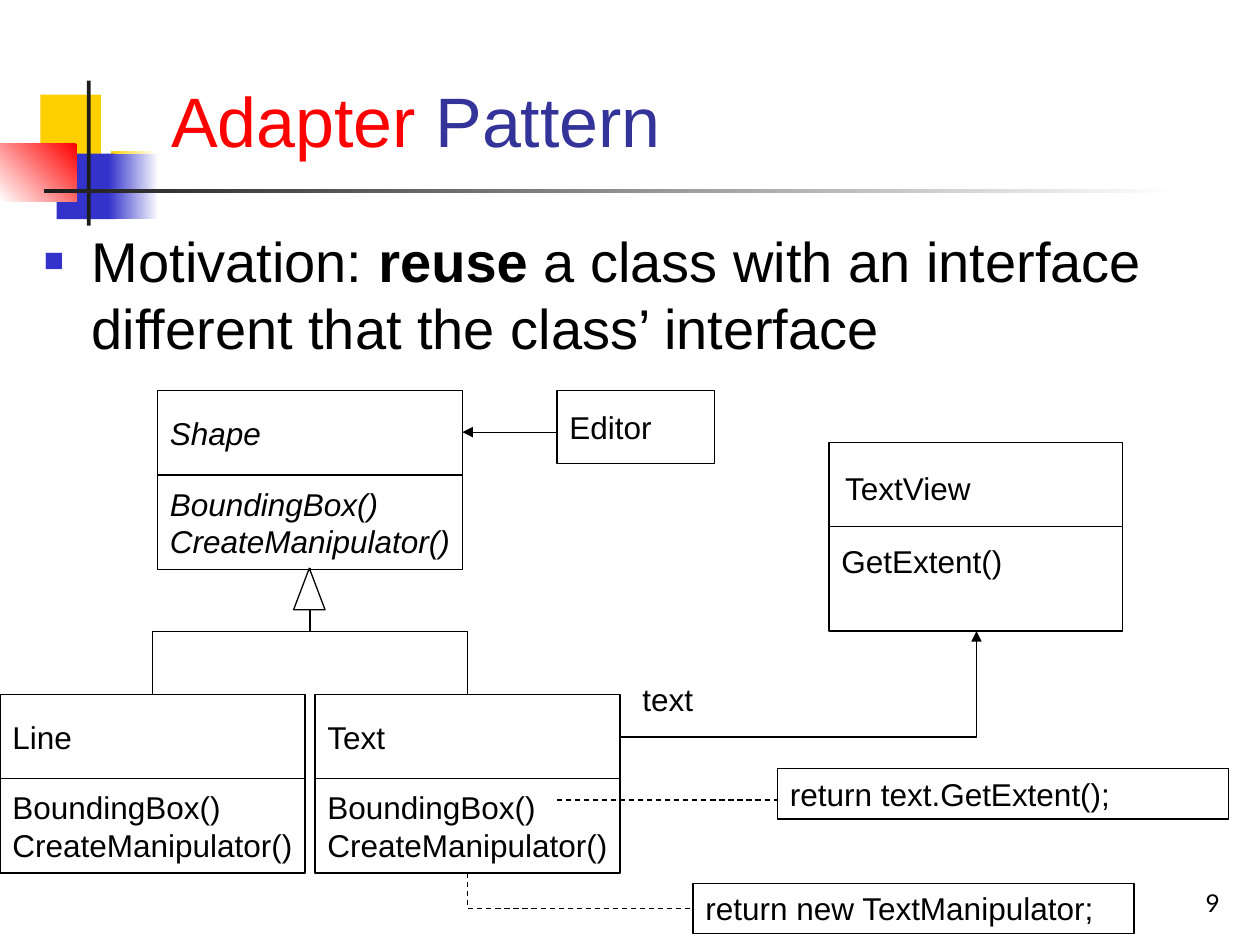
from dataclasses import dataclass

from lxml.etree import SubElement
from pptx import Presentation
from pptx.dml.color import RGBColor
from pptx.enum.dml import MSO_LINE
from pptx.enum.shapes import MSO_CONNECTOR, MSO_SHAPE
from pptx.enum.text import MSO_ANCHOR, PP_ALIGN
from pptx.oxml.ns import qn
from pptx.util import Inches, Pt


@dataclass(frozen=True)
class Theme:
    black: str = "000000"
    white: str = "FFFFFF"
    yellow: str = "FFCF01"
    blue: str = "3333CC"
    red: str = "FF0000"
    charcoal: str = "1C1C1C"
    title_blue: str = "333399"
    font: str = "Arial"
    number_font: str = "Lato"
    title_size: int = 40
    body_size: int = 32
    diagram_size: int = 18
    number_size: int = 14
    line_width: float = 0.75


THEME = Theme()
NAME_HEIGHT = 0.67


def color(value):
    return RGBColor.from_string(value)


def write(shape, runs, wrap=True, anchor=MSO_ANCHOR.TOP, align=PP_ALIGN.LEFT, top_inset=0.05):
    """Fill a shape with one paragraph of (text, font values) runs."""
    frame = shape.text_frame
    margins = {"margin_left": 0.1, "margin_right": 0.1,
               "margin_top": top_inset, "margin_bottom": 0.05}
    for name, value in margins.items():
        setattr(frame, name, Inches(value))
    frame.word_wrap = wrap
    frame.vertical_anchor = anchor
    paragraph = frame.paragraphs[0]
    paragraph.alignment = align
    for index, (text, values) in enumerate(runs):
        for part_index, part in enumerate(text.split("\n")):
            if part_index:
                paragraph.add_line_break()
            run = paragraph.add_run()
            run.text = part
            format_values = {"name": THEME.font, "size": THEME.diagram_size,
                             "color": THEME.black, **values}
            run.font.color.rgb = color(format_values.pop("color"))
            format_values["size"] = Pt(format_values["size"])
            for name, value in format_values.items():
                setattr(run.font, name, value)
    return paragraph


def add_text(slide, box, runs, **layout):
    return write(slide.shapes.add_textbox(*map(Inches, box)), runs, **layout)


def add_outlined(slide, box, kind=MSO_SHAPE.RECTANGLE, fill=THEME.white):
    shape = slide.shapes.add_shape(kind, *map(Inches, box))
    shape.shadow.inherit = False
    if fill:
        shape.fill.solid()
        shape.fill.fore_color.rgb = color(fill)
    else:
        shape.fill.background()
    shape.line.color.rgb = color(THEME.black)
    shape.line.width = Pt(THEME.line_width)
    return shape


def add_connection(slide, start, end, preset="line", vertical_first=False, arrow=False, dashed=False):
    """Join two points; a vertical-first bend is a sideways one turned by 90 degrees."""
    points = [start, end]
    if vertical_first:
        middle_x, middle_y = (start[0] + end[0]) / 2, (start[1] + end[1]) / 2
        points = [(middle_x + y - middle_y, middle_y - x + middle_x) for x, y in points]
    kind = MSO_CONNECTOR.STRAIGHT if preset == "line" else MSO_CONNECTOR.ELBOW
    connector = slide.shapes.add_connector(
        kind, *[Inches(value) for point in points for value in point])
    connector.line.color.rgb = color(THEME.black)
    connector.line.width = Pt(THEME.line_width)
    if dashed:
        connector.line.dash_style = MSO_LINE.DASH
    properties = connector._element.spPr
    properties.find(qn("a:prstGeom")).set("prst", preset)
    if vertical_first:
        properties.find(qn("a:xfrm")).set("rot", str(90 * 60000))
    if arrow:
        SubElement(properties.find(qn("a:ln")), qn("a:tailEnd"), type="triangle")
    SubElement(properties, qn("a:effectLst"))


def add_ornament(slide, left, top):
    """Coloured blocks and crossing bars, placed from their top left corner."""
    blocks = [
        ((0.32, 0.11, 0.48, 0.52), [THEME.yellow], 0),
        ((0.88, 0.56, 0.36, 0.52), [THEME.white, THEME.yellow], 180),
        ((0.45, 0.58, 0.46, 0.52), [THEME.blue], 0),
        ((0.86, 0.58, 0.4, 0.52), [THEME.white, THEME.blue], 180),
        ((0, 0.5, 0.61, 0.46), [THEME.red, THEME.white], 225),
        ((0.69, 0, 0.03, 1.15), [THEME.charcoal], 0),
        ((0.35, 0.86, 9, 0.03), [THEME.white, THEME.charcoal], 180),
    ]
    for (x, y, width, height), colors, angle in blocks:
        block = add_outlined(slide, (left + x, top + y, width, height), fill=colors[0])
        block.line.fill.background()
        if len(colors) > 1:
            block.fill.gradient()
            block.fill.gradient_angle = angle
            for stop, value in zip(block.fill.gradient_stops, colors):
                stop.color.rgb = color(value)


def add_title(slide, box):
    add_text(slide, box, [
        ("Adapter", {"size": THEME.title_size, "color": THEME.red}),
        (" Pattern", {"size": THEME.title_size, "color": THEME.title_blue}),
    ], anchor=MSO_ANCHOR.BOTTOM)


def add_motivation(slide, box):
    size = {"size": THEME.body_size}
    paragraph = add_text(slide, box, [
        ("Motivation: ", size),
        ("reuse", {**size, "bold": True}),
        (" a class with an interface different that the class’ interface", size),
    ])
    paragraph.space_before = Pt(8)
    properties = paragraph._p.get_or_add_pPr()
    properties.set("marL", str(Inches(0.38)))
    properties.set("indent", str(-Inches(0.38)))
    bullet_color = SubElement(properties, qn("a:buClr"))
    SubElement(bullet_color, qn("a:srgbClr"), val=THEME.blue)
    SubElement(properties, qn("a:buSzPct"), val="60000")
    SubElement(properties, qn("a:buFont"), typeface=THEME.font)
    SubElement(properties, qn("a:buChar"), char="■")


def add_class(slide, left, top, name, italic=False):
    """Class box with a name part above its two methods."""
    parts = [(top, NAME_HEIGHT, name),
             (top + NAME_HEIGHT, 0.75, "BoundingBox()\nCreateManipulator()")]
    for part_top, height, text in parts:
        shape = add_outlined(slide, (left, part_top, 2.42, height))
        write(shape, [(text, {"italic": italic})], wrap=False, anchor=MSO_ANCHOR.MIDDLE)


def add_text_view(slide, left, top):
    add_outlined(slide, (left, top, 2.33, NAME_HEIGHT))
    methods = add_outlined(slide, (left, top + NAME_HEIGHT, 2.33, 0.83))
    write(methods, [("GetExtent()", {})], wrap=False, top_inset=0.12)
    add_text(slide, (left + 0.03, top + 0.16, 1.23, 0.4), [("TextView", {})], wrap=False)


def add_diagram(slide, left, top):
    """Class diagram, placed from its top left corner."""
    def at(x, y):
        return left + x, top + y

    add_class(slide, *at(1.25, 0), "Shape", italic=True)
    add_class(slide, *at(2.5, 2.41), "Text")
    add_class(slide, *at(0, 2.41), "Line")
    add_text_view(slide, *at(6.58, 0.41))
    editor = add_outlined(slide, (*at(4.42, 0), 1.25, 0.58))
    write(editor, [("Editor", {})], wrap=False, anchor=MSO_ANCHOR.MIDDLE)

    for child_x in (1.21, 3.71):
        add_connection(slide, at(2.46, 1.41), at(child_x, 2.41), "bentConnector3", vertical_first=True)
    add_outlined(slide, (*at(2.33, 1.41), 0.25, 0.33), MSO_SHAPE.ISOSCELES_TRIANGLE)
    add_connection(slide, at(4.42, 0.33), at(3.67, 0.33), arrow=True)
    add_connection(slide, at(4.92, 2.75), at(7.75, 1.91), "bentConnector2", arrow=True)

    add_text(slide, (*at(5, 2.25), 0.92, 0.4), [("text", {})])
    notes = [((6.17, 3), 3.58, "return text.GetExtent();"),
             ((5.5, 3.91), 3.5, "return new TextManipulator;")]
    for position, width, text in notes:
        write(add_outlined(slide, (*at(*position), width, 0.4), fill=None), [(text, {})])
    add_connection(slide, at(4.42, 3.25), at(6.17, 3.25), dashed=True)
    add_connection(slide, at(3.71, 3.83), at(5.5, 4.11), "bentConnector2", vertical_first=True, dashed=True)


def main():
    presentation = Presentation()
    presentation.slide_width, presentation.slide_height = Inches(10), Inches(7.5)
    slide = presentation.slides.add_slide(presentation.slide_layouts[6])
    add_ornament(slide, 0, 0.64)
    add_title(slide, (1.26, 0.23, 8.52, 1.1))
    add_motivation(slide, (0.25, 1.75, 9.54, 4.96))
    add_text(slide, (7.7, 6.83, 2.08, 0.5),
             [("9", {"name": THEME.number_font, "size": THEME.number_size})],
             anchor=MSO_ANCHOR.BOTTOM, align=PP_ALIGN.RIGHT)
    add_diagram(slide, 0, 3.1)
    presentation.save("out.pptx")


if __name__ == "__main__":
    main()
